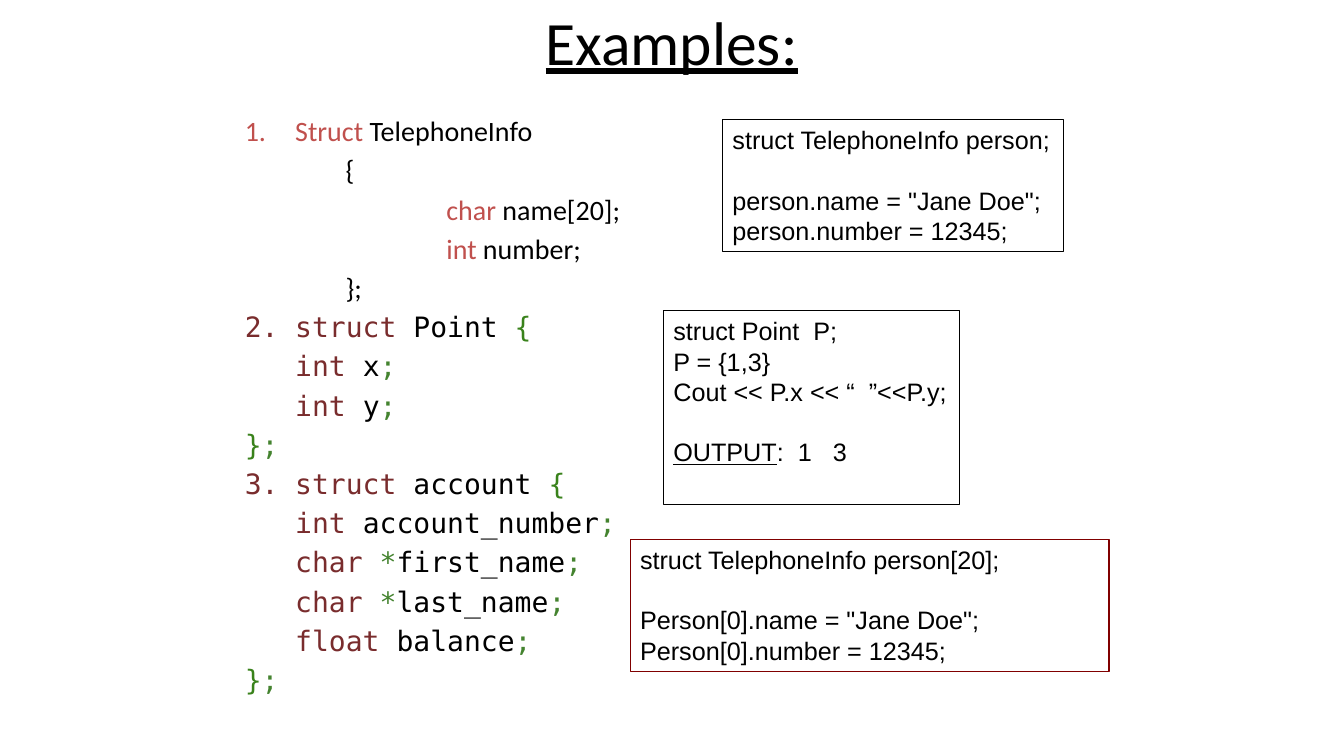
"""Build a slide of C++ struct examples."""
from dataclasses import dataclass

from lxml import etree
from pptx import Presentation
from pptx import util as u
from pptx.dml.color import RGBColor
from pptx.enum import shapes, text
from pptx.oxml import ns


@dataclass(frozen=True)
class Theme:
    """Colours, fonts and type sizes of the slide."""
    ink: str = "000000"
    keyword: str = "C0504D"
    mono_keyword: str = "792C2D"
    brace: str = "39821B"
    mark: str = "44832F"
    accent_line: str = "800000"
    heading: str = "Calibri"
    code: str = "DejaVu Sans Mono"
    usage: str = "Arial"
    title_size: float = 44
    code_size: float = 20
    usage_size: float = 18
    pitch: float = 1.2


def add_text(paragraph, words, *, font, size, color, underline=False):
    """Append one formatted run to a paragraph."""
    run = paragraph.add_run()
    run.text = words
    run.font.name = font
    run.font.size = u.Pt(size)
    run.font.color.rgb = RGBColor.from_string(color)
    run.font.underline = underline


class ExampleSlide:
    """Hold the theme and the slide being drawn."""

    def __init__(self, slide, theme):
        """Keep the slide and its theme."""
        self.slide = slide
        self.theme = theme

    def text_frame(self, at):
        """Add a wrapping text box and return its frame."""
        frame = self.slide.shapes.add_textbox(*map(u.Cm, at)).text_frame
        frame.word_wrap = True
        return frame

    def title(self, words, at):
        """Add the centred, underlined title."""
        frame = self.text_frame(at)
        frame.vertical_anchor = text.MSO_ANCHOR.MIDDLE
        heading = frame.paragraphs[0]
        heading.alignment = text.PP_ALIGN.CENTER
        add_text(heading, words, font=self.theme.heading, color=self.theme.ink,
                 size=self.theme.title_size, underline=True)

    def paragraph(self, frame, first, size, gap):
        """Return the next left-aligned paragraph with its spacing set."""
        line = frame.paragraphs[0] if first else frame.add_paragraph()
        line.alignment = text.PP_ALIGN.LEFT
        line.line_spacing = u.Pt(size * self.theme.pitch)
        line.space_before = u.Pt(gap)
        return line

    def indent(self, line, left, number=None):
        """Indent a line and number it when a number is given."""
        props = line._p.get_or_add_pPr()
        props.set("marL", str(u.Cm(left)))
        props.set("indent", str(-u.Cm(left) if number else 0))
        if number:
            etree.SubElement(props, ns.qn("a:buAutoNum"), type="arabicPeriod",
                             startAt=str(number))

    def listing(self, at, examples):
        """Add the numbered struct definitions."""
        size = self.theme.code_size
        frame = self.text_frame(at)
        first = True
        for number, (font, lines) in enumerate(examples, 1):
            for row, (left, *runs) in enumerate(lines):
                line = self.paragraph(frame, first, size, size * 0.2)
                self.indent(line, left, None if row else number)
                for words, color in runs:
                    add_text(line, words, font=font, size=size, color=color)
                first = False

    def usage(self, at, border, blocks):
        """Add an outlined box whose blocks are one line apart."""
        size = self.theme.usage_size
        box = self.slide.shapes.add_shape(shapes.MSO_SHAPE.RECTANGLE, *map(u.Cm, at))
        box.shadow.inherit = False
        box.fill.background()
        box.line.color.rgb = RGBColor.from_string(border)
        box.line.width = u.Pt(0.75)
        frame = box.text_frame
        frame.word_wrap = True
        frame.vertical_anchor = text.MSO_ANCHOR.TOP
        for index, block in enumerate(blocks):
            for row, runs in enumerate(block):
                apart = index > 0 and row == 0
                line = self.paragraph(frame, index + row == 0, size,
                                      size * self.theme.pitch if apart else 0)
                for words, underline in runs:
                    add_text(line, words, font=self.theme.usage, size=size,
                             color=self.theme.ink, underline=underline)


def plain(*lines):
    """Return lines that each hold one run without underline."""
    return [[(line, False)] for line in lines]


def member(kind, name, theme, pointer=False):
    """Return one indented member of a struct."""
    star = [("*", theme.mark)] if pointer else []
    return (1.27, (kind + " ", theme.mono_keyword), *star,
            (name, theme.ink), (";", theme.mark))


def struct(name, members, theme):
    """Return the lines of a struct in the code font."""
    opening = (1.27, ("struct", theme.mono_keyword), (f" {name} ", theme.ink),
               ("{", theme.brace))
    closing = (0, ("}", theme.brace), (";", theme.mark))
    return theme.code, [opening, *members, closing]


def main():
    """Draw the slide and save it."""
    theme = Theme()
    deck = Presentation()
    deck.slide_width, deck.slide_height = u.Cm(33.87), u.Cm(19.05)
    page = ExampleSlide(deck.slides.add_slide(deck.slide_layouts[6]), theme)

    page.title("Examples:", (5.5, -0.08, 22.86, 2.21))

    telephone = [
        (1.27, ("Struct ", theme.keyword), ("TelephoneInfo", theme.ink)),
        (2.54, ("{", theme.ink)),
        (5.08, ("char", theme.keyword), (" name[20];", theme.ink)),
        (5.08, ("int", theme.keyword), (" number;", theme.ink)),
        (2.54, ("};", theme.ink)),
    ]
    point = [member("int", axis, theme) for axis in "xy"]
    account = [
        member("int", "account_number", theme),
        member("char", "first_name", theme, pointer=True),
        member("char", "last_name", theme, pointer=True),
        member("float", "balance", theme),
    ]
    page.listing((5.92, 2.74, 17.78, 11.23), [
        (theme.heading, telephone),
        struct("Point", point, theme),
        struct("account", account, theme),
    ])

    page.usage((16.72, 7.83, 7.47, 4.88), theme.ink, [
        plain("struct Point  P;", "P = {1,3}", "Cout << P.x << “  ”<<P.y;"),
        [[("OUTPUT", True), (":  1   3", False)]],
    ])
    for at, border, declared, item in (
        ((18.21, 3.02, 8.59, 3.33), theme.ink, "person", "person"),
        ((15.88, 13.59, 12.07, 3.33), theme.accent_line, "person[20]", "Person[0]"),
    ):
        page.usage(at, border, [
            plain(f"struct TelephoneInfo {declared};"),
            plain(f'{item}.name = "Jane Doe";', f"{item}.number = 12345;"),
        ])

    deck.save("out.pptx")


if __name__ == "__main__":
    main()
